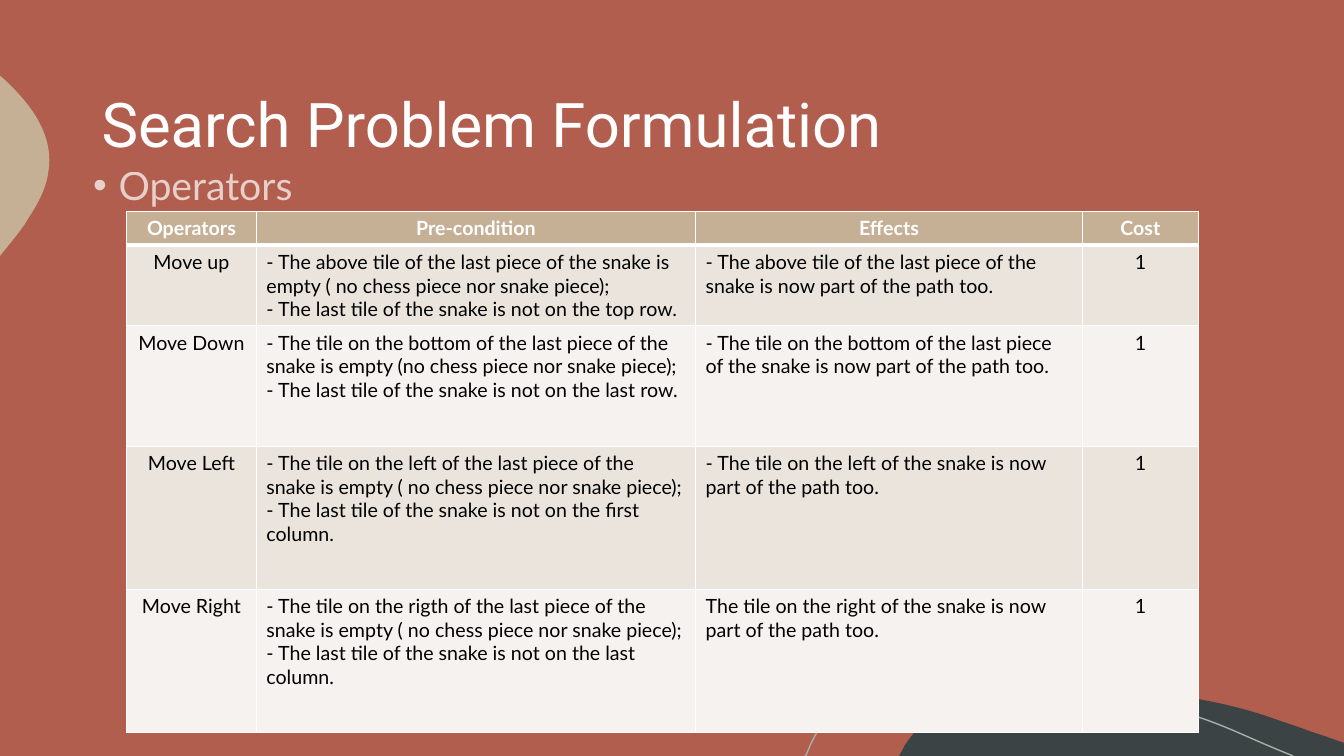
from lxml.etree import SubElement
from pptx import Presentation
from pptx.dml.color import RGBColor
from pptx.enum.text import MSO_ANCHOR, PP_ALIGN
from pptx.oxml.ns import qn
from pptx.util import Cm, Pt

TITLE = "Search Problem Formulation"
SUBTITLE = "Operators"
ROWS = [
    ("Operators", "Pre-condition", "Effects", "Cost"),
    ("Move up",
     "- The above tile of the last piece of the snake is empty ( no chess piece nor snake piece);\n"
     "- The last tile of the snake is not on the top row.",
     "- The above tile of the last piece of the snake is now part of the path too.", "1"),
    ("Move Down",
     "- The tile on the bottom of the last piece of the snake is empty (no chess piece nor snake piece);\n"
     "- The last tile of the snake is not on the last row.",
     "- The tile on the bottom of the last piece of the snake is now part of the path too.", "1"),
    ("Move Left",
     "- The tile on the left of the last piece of the snake is empty ( no chess piece nor snake piece);\n"
     "- The last tile of the snake is not on the first column.",
     "- The tile on the left of the snake is now part of the path too.", "1"),
    ("Move Right",
     "- The tile on the rigth of the last piece of the snake is empty ( no chess piece nor snake piece);\n"
     "- The last tile of the snake is not on the last column.",
     "The tile on the right of the snake is now part of the path too.", "1"),
]
COL_WIDTHS = [3.27, 11.07, 9.75, 2.92]
ROW_HEIGHTS = [0.79, 1.93, 3.04, 3.6, 3.6]
CENTRED_COLS = (0, 3)

RUST, SAND, SLATE, GREY = "B15E4E", "C5B096", "3B4345", "A9AEA7"
WHITE, BLACK = "FFFFFF", "000000"
BANDS = ("F5F2EF", "EAE4DD")

HILL = [
    [(26.77, 17.35)],
    [(28.65, 17.35), (30.58, 17.53), (32.33, 18.19)],
    [(32.66, 18.29), (32.97, 18.42), (33.3, 18.52)],
    [(33.87, 18.72)], [(33.87, 19.05)], [(22.66, 19.05)], [(22.81, 18.77)],
    [(22.91, 18.62), (23.01, 18.49), (23.14, 18.36)],
    [(23.85, 17.6), (24.94, 17.37), (25.98, 17.35)],
    [(26.24, 17.35), (26.5, 17.35), (26.77, 17.35)],
]
PEBBLE = [
    [(0, 1.91)], [(0.03, 1.93)],
    [(0.76, 2.59), (1.37, 3.38), (1.22, 4.32)],
    [(1.17, 4.75), (0.94, 5.16), (0.69, 5.54)],
    [(0.61, 5.69), (0.43, 5.92), (0.2, 6.2)],
    [(0, 6.45)],
]
CONTOUR = [
    [(20.29, 19.05)], [(20.32, 19.02)],
    [(20.47, 18.62), (20.68, 18.26), (20.93, 17.98)],
    [(21.59, 17.3), (22.58, 17.09), (23.52, 17.07)],
    [(24.26, 17.07)],
    [(25.93, 17.07), (27.94, 17.5), (29.34, 17.83)],
    [(30.71, 18.16), (31.14, 18.47), (32.59, 19.05)],
]


def rgb(color):
    return RGBColor.from_string(color)


def write(tf, text, size=14, font="Lato", color=BLACK, bold=False,
          align=PP_ALIGN.LEFT, spacing=None, before=None, alpha=None, bullet=None):
    tf.word_wrap = True
    for i, line in enumerate(text.split("\n")):
        p = tf.paragraphs[0] if i == 0 else tf.add_paragraph()
        p.alignment = align
        p.line_spacing = spacing
        p.space_before = before
        r = p.add_run()
        r.text = line
        r.font.size = Pt(size)
        r.font.name = font
        r.font.bold = bold
        r.font.color.rgb = rgb(color)
        if alpha:
            clr = r._r.rPr.find(qn("a:solidFill"))[0]
            SubElement(clr, qn("a:alpha"), val=str(alpha * 1000))
        if bullet:
            pPr = p._p.get_or_add_pPr()
            pPr.set("marL", str(Cm(0.64)))
            pPr.set("indent", str(-Cm(0.64)))
            SubElement(pPr, qn("a:buFont"), typeface="Arial")
            SubElement(pPr, qn("a:buChar"), char=bullet)


def add_text(s, box, text, anchor, **fmt):
    tf = s.shapes.add_textbox(*map(Cm, box)).text_frame
    tf.vertical_anchor = anchor
    write(tf, text, **fmt)


def bend(sp, segments):
    lines = iter(list(sp._element.iter(qn("a:lnTo"))))
    for seg in segments:
        steps = [next(lines) for _ in seg]
        if len(seg) == 3:
            curve = steps[0].makeelement(qn("a:cubicBezTo"))
            steps[0].addprevious(curve)
            for step in steps:
                curve.append(step[0])
                step.getparent().remove(step)


def add_outline(s, segments, fill=None, line=None):
    start, *rest = [(Cm(x), Cm(y)) for seg in segments for x, y in seg]
    builder = s.shapes.build_freeform(*start)
    builder.add_line_segments(rest, close=fill is not None)
    sp = builder.convert_to_shape()
    bend(sp, segments[1:])
    sp.shadow.inherit = False
    if fill:
        sp.fill.solid()
        sp.fill.fore_color.rgb = rgb(fill)
        sp.line.fill.background()
    else:
        sp.fill.background()
        sp.line.color.rgb = rgb(line)
        sp.line.width = Pt(1)


def set_borders(cell, **widths):
    tcPr = cell._tc.get_or_add_tcPr()
    for i, side in enumerate("LRTB"):
        ln = tcPr.makeelement(qn("a:ln" + side), {"w": str(Pt(widths.get(side, 1)))})
        SubElement(SubElement(ln, qn("a:solidFill")), qn("a:srgbClr"), val=WHITE)
        tcPr.insert(i, ln)


def add_operator_table(s):
    table = s.shapes.add_table(
        len(ROWS), len(COL_WIDTHS), Cm(3.19), Cm(5.33),
        Cm(sum(COL_WIDTHS)), Cm(sum(ROW_HEIGHTS))).table
    for col, width in zip(table.columns, COL_WIDTHS):
        col.width = Cm(width)
    for i, (row, height) in enumerate(zip(ROWS, ROW_HEIGHTS)):
        table.rows[i].height = Cm(height)
        header = i == 0
        for j, text in enumerate(row):
            cell = table.cell(i, j)
            cell.fill.solid()
            cell.fill.fore_color.rgb = rgb(SAND if header else BANDS[i % 2])
            set_borders(cell, B=3 if header else 1, T=3 if i == 1 else 1)
            centred = header or j in CENTRED_COLS
            write(cell.text_frame, text, bold=header, color=WHITE if header else BLACK,
                  align=PP_ALIGN.CENTER if centred else PP_ALIGN.LEFT)


def main():
    prs = Presentation()
    prs.slide_width, prs.slide_height = Cm(33.87), Cm(19.05)
    s = prs.slides.add_slide(prs.slide_layouts[6])
    s.background.fill.solid()
    s.background.fill.fore_color.rgb = rgb(RUST)
    add_outline(s, HILL, fill=SLATE)
    add_outline(s, PEBBLE, fill=SAND)
    add_outline(s, CONTOUR, line=GREY)
    add_text(s, (2.31, 1.09, 29.64, 4.24), TITLE, MSO_ANCHOR.MIDDLE,
             size=44, font="Roboto", color=WHITE, spacing=0.9)
    add_operator_table(s)
    add_text(s, (2.1, 3.65, 6.5, 1.7), SUBTITLE, MSO_ANCHOR.TOP, size=28,
             color=WHITE, alpha=70, spacing=1.25, before=Pt(10), bullet="•")
    prs.save("out.pptx")


if __name__ == "__main__":
    main()
